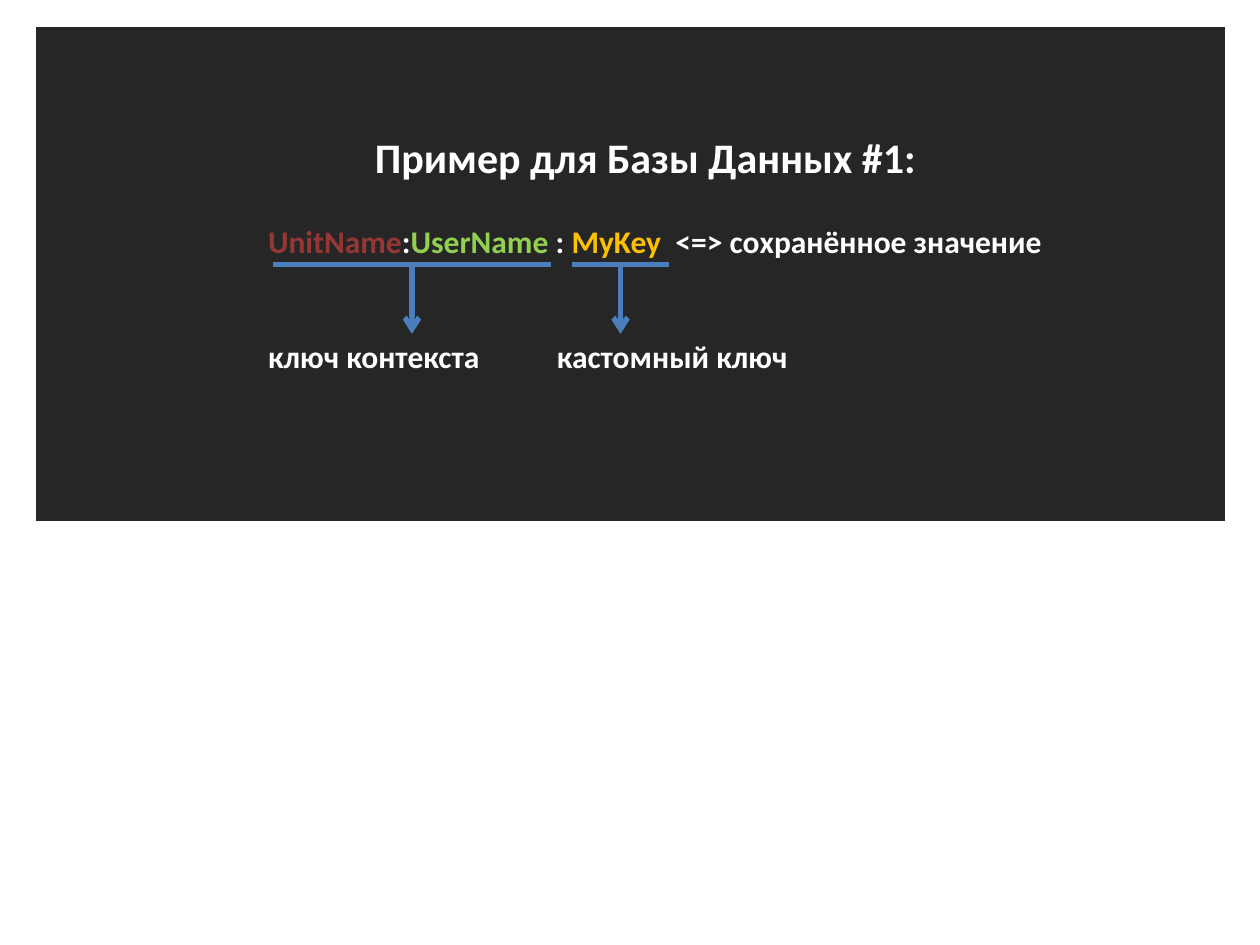
from dataclasses import dataclass

from lxml.etree import SubElement as Sub
from pptx import Presentation
from pptx.dml.color import RGBColor as Rgb
from pptx.enum.shapes import MSO_CONNECTOR as Conn
from pptx.enum.text import MSO_ANCHOR as Anchor
from pptx.oxml.ns import qn
from pptx.util import Pt


@dataclass
class Theme:
    font: str = "Calibri"
    head: int = 24
    body: int = 18
    white: str = "FFFFFF"
    dark: str = "262626"
    red: str = "953735"
    green: str = "92D050"
    gold: str = "FFC000"
    blue: str = "4B7EBC"


theme = Theme()
deck = Presentation()
deck.slide_width, deck.slide_height = Pt(720), Pt(540)
slide = deck.slides.add_slide(deck.slide_layouts[6])


def add_line(x1, y1, x2, y2, arrow=False):
    """Draw a blue line, with an arrowhead at its end if asked."""
    line = slide.shapes.add_connector(Conn.STRAIGHT, Pt(x1), Pt(y1), Pt(x2), Pt(y2))
    line.line.color.rgb = Rgb.from_string(theme.blue)
    line.line.width = Pt(3)
    if arrow:
        Sub(line.line._get_or_add_ln(), qn("a:tailEnd"), type="arrow")
    Sub(line._element.spPr, qn("a:effectLst"))


def add_para(para, size, gap, runs):
    """Fill a paragraph with (text, colour) runs below a gap."""
    para.font.name, para.font.size, para.font.bold = theme.font, Pt(size), True
    para.space_before = Pt(gap)
    for text, color in runs:
        run = para.add_run()
        run.text = text
        run.font.color.rgb = Rgb.from_string(color)


# Dark panel: a table of one cell
table = slide.shapes.add_table(1, 1, Pt(20.2), Pt(15.2), Pt(680.4), Pt(283.7)).table
cell = table.cell(0, 0)
cell.vertical_anchor = Anchor.TOP
cell.margin_left, cell.margin_top = Pt(133), Pt(61)
props = cell._tc.get_or_add_tcPr()
for side, width in (("L", 1), ("R", 1), ("T", 1), ("B", 3)):
    edge = Sub(props, qn(f"a:ln{side}"), w=str(Pt(width)))
    Sub(Sub(edge, qn("a:solidFill")), qn("a:srgbClr"), val=theme.white)
cell.fill.solid()
cell.fill.fore_color.rgb = Rgb.from_string(theme.dark)

# Heading, key pattern and labels
frame = cell.text_frame
title = frame.paragraphs[0]
add_para(title, theme.head, 0, [("Пример для Базы Данных #1:", theme.white)])
title._p.get_or_add_pPr().set("marL", str(Pt(61)))

add_para(frame.add_paragraph(), theme.body, 22, [
    ("UnitName", theme.red),
    (":", theme.white),
    ("UserName ", theme.green),
    (": ", theme.white),
    ("MyKey ", theme.gold),
    (" <=> сохранённое значение", theme.white),
])

labels = frame.add_paragraph()
add_para(labels, theme.body, 44, [("ключ контекста\tкастомный ключ", theme.white)])
tabs = labels._p.get_or_add_pPr()
stops = Sub(tabs, qn("a:tabLst"))
Sub(stops, qn("a:tab"), pos=str(Pt(165)), algn="l")
# The schema wants tab stops before the default run format
tabs.append(tabs.find(qn("a:defRPr")))

# Underlines, each with an arrow from its middle to the label
top, tip = 151.2, 190.8
for left, right in ((156.2, 314.6), (326.9, 382.3)):
    mid = (left + right) / 2
    add_line(left, top, right, top)
    add_line(mid, top, mid, tip, arrow=True)

deck.save("out.pptx")
